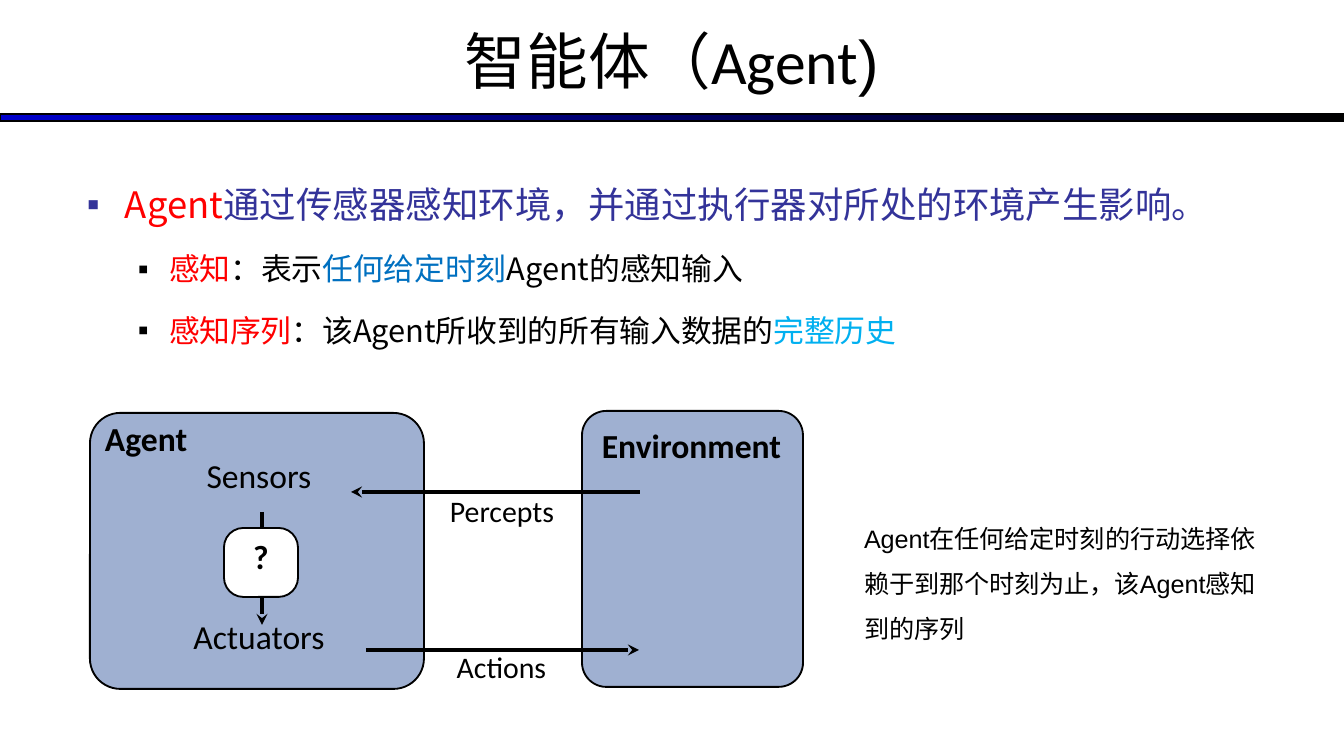
from lxml.etree import SubElement
from pptx import Presentation
from pptx.dml.color import RGBColor
from pptx.enum.shapes import MSO_CONNECTOR, MSO_SHAPE
from pptx.enum.text import MSO_ANCHOR, MSO_AUTO_SIZE, PP_ALIGN
from pptx.oxml.ns import qn
from pptx.util import Emu, Pt

EMU_PER_PX = 914400 / 134.4
CJK_FONT = "Noto Sans CJK SC"
BLACK, RED, NAVY, PANEL = "000000", "FF0000", "333399", "9FB0D1"


def px(length):
    return Emu(round(length * EMU_PER_PX))


def color(hex_text):
    return RGBColor.from_string(hex_text)


def place(shape, left, top, width, height):
    shape.left, shape.top = px(left), px(top)
    shape.width, shape.height = px(width), px(height)


def set_frame(frame, margins, anchor=MSO_ANCHOR.TOP):
    """Margins are left, top, right and bottom in px."""
    frame.word_wrap = True
    frame.auto_size = MSO_AUTO_SIZE.NONE
    frame.vertical_anchor = anchor
    (frame.margin_left, frame.margin_top,
     frame.margin_right, frame.margin_bottom) = map(px, margins)


def add_run(paragraph, text, size=18, font="Calibri", fill=BLACK, bold=False):
    run = paragraph.add_run()
    run.text = text
    run.font.size = Pt(size)
    run.font.bold = bold
    run.font.name = font
    run.font.color.rgb = color(fill)
    SubElement(run._r.rPr, qn("a:ea")).set("typeface", CJK_FONT)


def set_bullet(paragraph, fill, indent, hanging):
    properties = paragraph._p.get_or_add_pPr()
    properties.set("marL", str(px(indent)))
    properties.set("indent", str(-px(hanging)))
    bullet_color = SubElement(properties, qn("a:buClr"))
    SubElement(bullet_color, qn("a:srgbClr")).set("val", fill)
    SubElement(properties, qn("a:buFont")).set("typeface", "Arial")
    SubElement(properties, qn("a:buChar")).set("char", "▪")


def add_label(slide, text, box, align=PP_ALIGN.CENTER, **text_format):
    label = slide.shapes.add_textbox(*map(px, box))
    set_frame(label.text_frame, (4, 0, 4, 0))
    paragraph = label.text_frame.paragraphs[0]
    paragraph.alignment = align
    add_run(paragraph, text, **text_format)


def add_panel(slide, box, fill, rounding):
    panel = slide.shapes.add_shape(MSO_SHAPE.ROUNDED_RECTANGLE, *map(px, box))
    panel.shadow.inherit = False
    panel.adjustments[0] = rounding
    panel.fill.solid()
    panel.fill.fore_color.rgb = color(fill)
    panel.line.color.rgb = color(BLACK)
    panel.line.width = Pt(1)


def add_arrow(slide, start, tip):
    arrow = slide.shapes.add_connector(MSO_CONNECTOR.STRAIGHT, *map(px, start + tip))
    arrow.line.color.rgb = color(BLACK)
    arrow.line.width = Pt(2)
    SubElement(arrow.line._get_or_add_ln(), qn("a:tailEnd")).set("type", "stealth")
    SubElement(arrow._element.spPr, qn("a:effectLst"))


def add_header(slide):
    # Rule below the title
    rule = slide.shapes.add_shape(MSO_SHAPE.RECTANGLE, *map(px, (0, 114, 1344, 7)))
    rule.shadow.inherit = False
    rule.fill.gradient()
    rule.fill.gradient_angle = 0
    for stop, fill in zip(rule.fill.gradient_stops, ("0000CC", BLACK)):
        stop.color.rgb = color(fill)
    rule.line.color.rgb = color(BLACK)
    rule.line.width = Pt(0.75)

    # Title
    title = slide.shapes.title
    place(title, 0, -3, 1344, 126)
    set_frame(title.text_frame, (9, 5, 9, 5), MSO_ANCHOR.MIDDLE)
    paragraph = title.text_frame.paragraphs[0]
    paragraph.alignment = PP_ALIGN.CENTER
    add_run(paragraph, "智能体（Agent", size=33)
    add_run(paragraph, ")", size=33, font="Arial")


def add_definitions(slide):
    body = slide.placeholders[1]
    place(body, 78, 155, 1152, 543)
    frame = body.text_frame
    set_frame(frame, (9, 5, 9, 5))
    items = [
        (0, [("Agent", RED), ("通过传感器感知环境，并通过执行器对所处的环境产生影响。", NAVY)]),
        (1, [("感知", RED), ("：表示", BLACK), ("任何给定时刻", "0070C0"),
             ("Agent的感知输入", BLACK)]),
        (1, [("感知序列", RED), ("：该Agent所收到的所有输入数据的", BLACK),
             ("完整历史", "00B0F0")]),
    ]
    level_styles = [(19.5, NAVY, 38, 38), (16.5, BLACK, 82, 31)]
    for index, (level, parts) in enumerate(items):
        size, bullet_fill, indent, hanging = level_styles[level]
        paragraph = frame.add_paragraph() if index else frame.paragraphs[0]
        paragraph.level = level
        paragraph.line_spacing = 1.5
        paragraph.space_before = Pt(3.3 if index else 0)
        set_bullet(paragraph, bullet_fill, indent, hanging)
        for text, fill in parts:
            add_run(paragraph, text, size=size, font=CJK_FONT, fill=fill)


def add_note(slide):
    note = slide.shapes.add_textbox(*map(px, (851, 501, 433, 151)))
    set_frame(note.text_frame, (13, 7, 13, 7))
    paragraph = note.text_frame.paragraphs[0]
    paragraph.line_spacing = 1.5
    add_run(paragraph, "Agent在任何给定时刻的行动选择依赖于到那个时刻为止，该Agent感知到的序列",
            size=13.5, font="Arial")


def add_diagram(slide):
    # Agent
    add_panel(slide, (90, 413, 334, 276), PANEL, 0.11)
    add_arrow(slide, (262, 512), (262, 625))
    add_label(slide, "Agent", (101, 418, 122, 74), align=PP_ALIGN.LEFT, bold=True)
    add_panel(slide, (224, 528, 74, 69), "FFFFFF", 0.28)
    add_label(slide, "?", (248, 536, 26, 59), bold=True)
    add_label(slide, "Sensors", (183, 455, 152, 77))
    add_label(slide, "Actuators", (173, 616, 172, 62))

    # Environment
    add_panel(slide, (582, 411, 221, 276), PANEL, 0.11)
    add_label(slide, "Environment", (566, 425, 251, 74), bold=True)

    # Exchange between the two
    add_arrow(slide, (640, 492), (351, 492))
    add_arrow(slide, (366, 650), (639, 650))
    add_label(slide, "Percepts", (429, 493, 146, 56), size=16)
    add_label(slide, "Actions", (439, 649, 125, 65), size=16)


def main():
    presentation = Presentation()
    presentation.slide_width, presentation.slide_height = px(1344), px(756)
    slide = presentation.slides.add_slide(presentation.slide_layouts[1])
    add_header(slide)
    add_definitions(slide)
    add_note(slide)
    add_diagram(slide)
    presentation.save("out.pptx")


if __name__ == "__main__":
    main()
